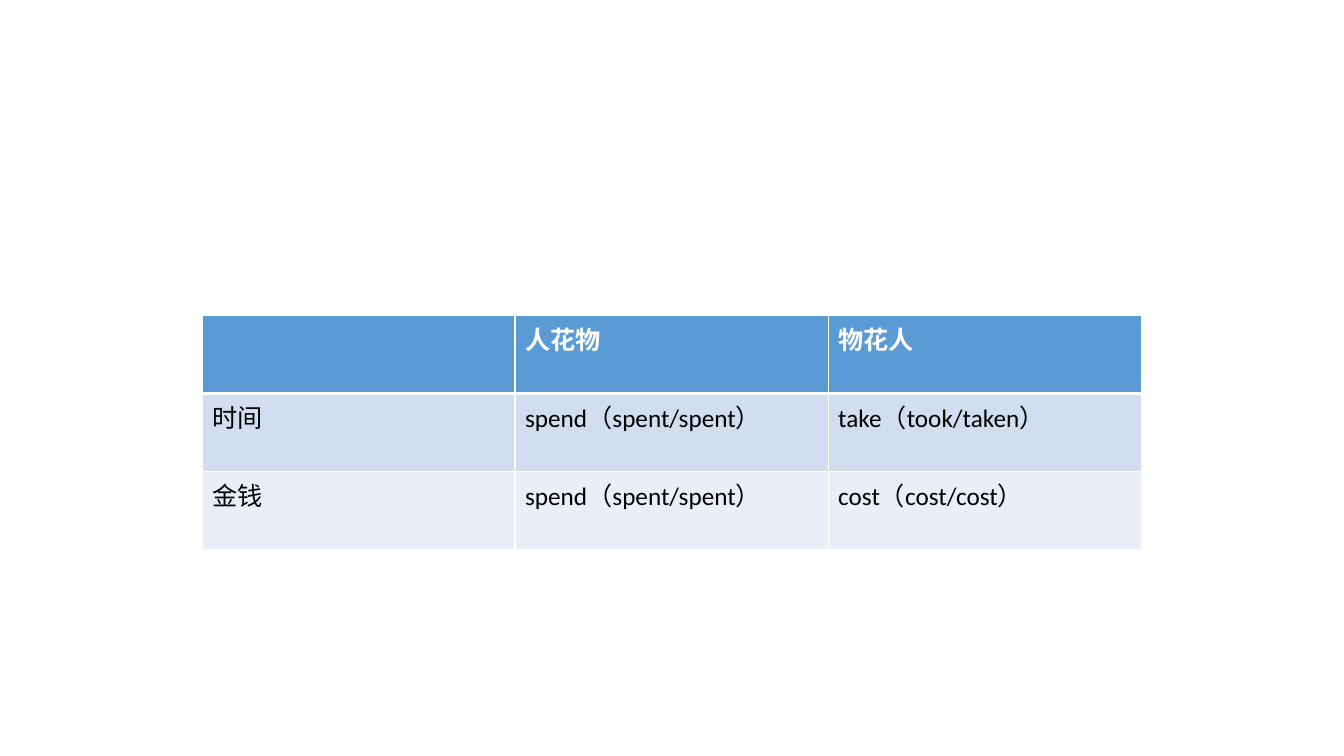
from lxml import etree
from pptx import Presentation
from pptx import util as u
from pptx.dml.color import RGBColor
from pptx.oxml import ns

WHITE = RGBColor(0xFF, 0xFF, 0xFF)
BLACK = RGBColor(0, 0, 0)
HEADER_BLUE = RGBColor(0x5B, 0x9B, 0xD5)
BANDS = [RGBColor(0xD2, 0xDE, 0xEF), RGBColor(0xEA, 0xEF, 0xF7)]

VERBS = [
    ["", "人花物", "物花人"],
    ["时间", "spend（spent/spent）", "take（took/taken）"],
    ["金钱", "spend（spent/spent）", "cost（cost/cost）"],
]


def set_borders(cell, top, bottom):
    """White rules on all four sides; widths in points."""
    tc_pr = cell._tc.get_or_add_tcPr()
    widths = {"L": 1, "R": 1, "T": top, "B": bottom}
    for i, (side, width) in enumerate(widths.items()):
        ln = etree.Element(ns.qn("a:ln" + side), w=str(u.Pt(width)))
        fill = etree.SubElement(ln, ns.qn("a:solidFill"))
        etree.SubElement(fill, ns.qn("a:srgbClr"), val=str(WHITE))
        tc_pr.insert(i, ln)


def add_verb_table(slide, left, top, width, height):
    rows, cols = len(VERBS), len(VERBS[0])
    table = slide.shapes.add_table(rows, cols, left, top, width, height).table
    for r, row in enumerate(VERBS):
        header = r == 0
        for c, label in enumerate(row):
            cell = table.cell(r, c)
            cell.fill.solid()
            cell.fill.fore_color.rgb = HEADER_BLUE if header else BANDS[(r - 1) % 2]
            set_borders(cell, top=3 if r == 1 else 1, bottom=3 if header else 1)
            # Cell text
            p = cell.text_frame.paragraphs[0]
            p.text = label
            p.font.name = "Calibri"
            p.font.size = u.Pt(18)
            p.font.bold = header
            p.font.color.rgb = WHITE if header else BLACK


prs = Presentation()
prs.slide_width, prs.slide_height = u.Cm(33.87), u.Cm(19.05)
s = prs.slides.add_slide(prs.slide_layouts[6])
add_verb_table(s, u.Cm(5.09), u.Cm(7.94), u.Cm(23.67), u.Cm(5.92))
prs.save("out.pptx")
